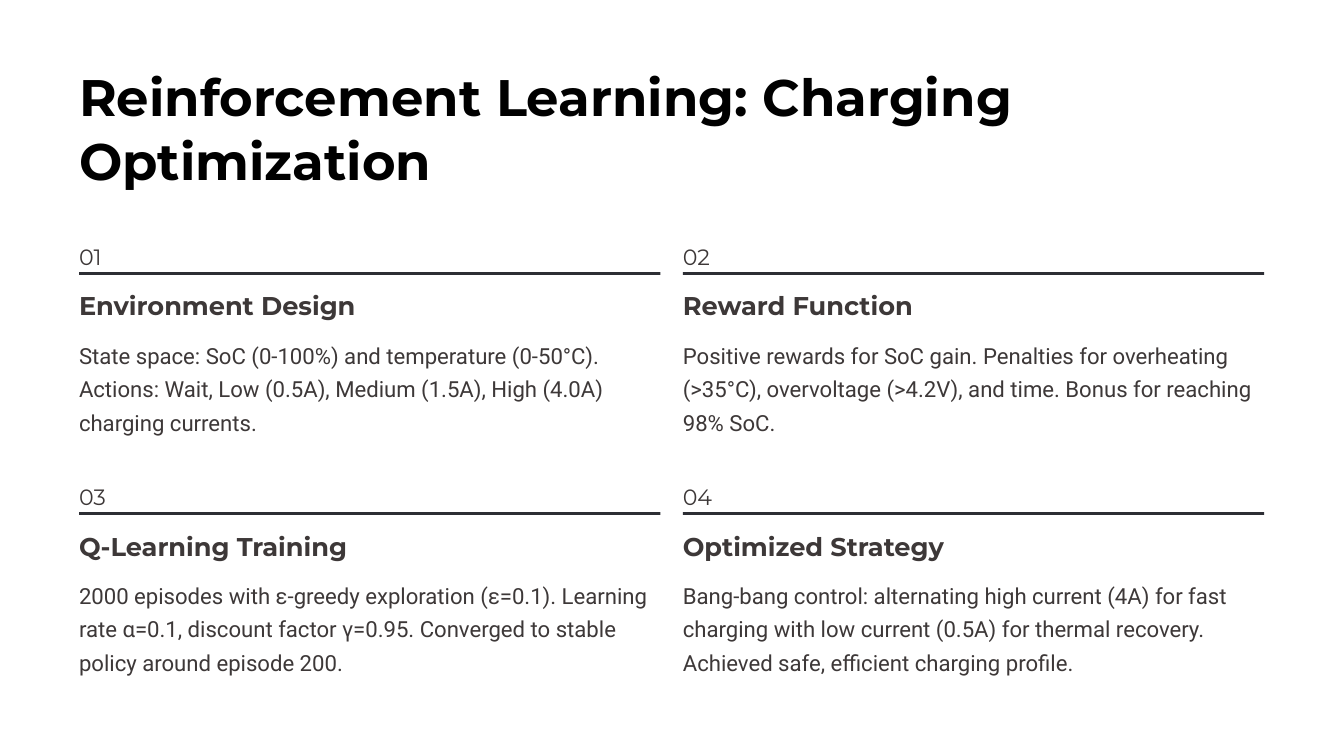
from pptx import Presentation
from pptx.dml.color import RGBColor
from pptx.enum.shapes import MSO_SHAPE
from pptx.enum.text import MSO_ANCHOR, MSO_AUTO_SIZE, PP_ALIGN
from pptx.util import Cm, Pt

RECTANGLE = MSO_SHAPE.RECTANGLE
TOP = MSO_ANCHOR.TOP
NO_AUTOFIT = MSO_AUTO_SIZE.NONE
LEFT = PP_ALIGN.LEFT

BLACK = RGBColor(0x00, 0x00, 0x00)
WHITE = RGBColor(0xFF, 0xFF, 0xFF)
TEXT_GREY = RGBColor(0x3D, 0x38, 0x38)
RULE_GREY = RGBColor(0x2D, 0x2E, 0x34)

HEADING_FONT = "Montserrat"
BODY_FONT = "Roboto"

MARGIN = 2.39
GRID_TOP = 7.14
COLUMN_WIDTH = 17.58
COLUMN_PITCH = 18.26
ROW_PITCH = 7.26

TOPICS = [
    ("Environment Design",
     "State space: SoC (0-100%) and temperature (0-50°C). Actions: Wait, "
     "Low (0.5A), Medium (1.5A), High (4.0A) charging currents."),
    ("Reward Function",
     "Positive rewards for SoC gain. Penalties for overheating (>35°C), "
     "overvoltage (>4.2V), and time. Bonus for reaching 98% SoC."),
    ("Q-Learning Training",
     "2000 episodes with ε-greedy exploration (ε=0.1). Learning rate α=0.1, "
     "discount factor γ=0.95. Converged to stable policy around episode 200."),
    ("Optimized Strategy",
     "Bang-bang control: alternating high current (4A) for fast charging with "
     "low current (0.5A) for thermal recovery. Achieved safe, efficient "
     "charging profile."),
]


class TopicSlide:
    def __init__(self, presentation):
        self.slide = presentation.slides.add_slide(presentation.slide_layouts[5])
        background = self.slide.background.fill
        background.solid()
        background.fore_color.rgb = WHITE

    def set_text(self, shape, wording, font, size, leading, color=TEXT_GREY,
                 bold=False, wrap=True):
        """Fill a shape with one paragraph, without insets or autofit."""
        frame = shape.text_frame
        frame.text = wording
        frame.word_wrap = wrap
        frame.auto_size = NO_AUTOFIT
        frame.vertical_anchor = TOP
        frame.margin_left = frame.margin_right = 0
        frame.margin_top = frame.margin_bottom = 0
        paragraph = frame.paragraphs[0]
        paragraph.alignment = LEFT
        paragraph.line_spacing = Pt(leading)
        style = paragraph.runs[0].font
        style.name = font
        style.size = Pt(size)
        style.bold = bold
        style.color.rgb = color

    def title(self, wording):
        heading = self.slide.shapes.title
        heading.left, heading.top = Cm(MARGIN), Cm(1.88)
        heading.width, heading.height = Cm(35.84), Cm(3.88)
        self.set_text(heading, wording, HEADING_FONT, 44, 55, BLACK, bold=True)

    def text(self, left, top, width, height, wording, *style, **options):
        box = self.slide.shapes.add_textbox(
            Cm(left), Cm(top), Cm(width), Cm(height))
        self.set_text(box, wording, *style, **options)

    def rule(self, left, top):
        bar = self.slide.shapes.add_shape(
            RECTANGLE, Cm(left), Cm(top), Cm(COLUMN_WIDTH), Cm(0.08))
        bar.shadow.inherit = False
        bar.fill.solid()
        bar.fill.fore_color.rgb = RULE_GREY
        bar.line.fill.background()

    def topic(self, left, top, number, name, details):
        self.text(left, top, 0.7, 0.86, f"{number:02}",
                  HEADING_FONT, 19, 29, wrap=False)
        self.rule(left, top + 1.09)
        self.text(left, top + 1.6, 8.4, 0.97, name,
                  HEADING_FONT, 22, 27.5, bold=True, wrap=False)
        self.text(left, top + 2.98, COLUMN_WIDTH, 3.07, details,
                  BODY_FONT, 19, 29)


def main():
    presentation = Presentation()
    presentation.slide_width = Cm(40.64)
    presentation.slide_height = Cm(22.86)
    slide = TopicSlide(presentation)
    slide.title("Reinforcement Learning: Charging Optimization")
    for index, (name, details) in enumerate(TOPICS):
        row, column = divmod(index, 2)
        slide.topic(MARGIN + column * COLUMN_PITCH, GRID_TOP + row * ROW_PITCH,
                    index + 1, name, details)
    presentation.save("out.pptx")


if __name__ == "__main__":
    main()
